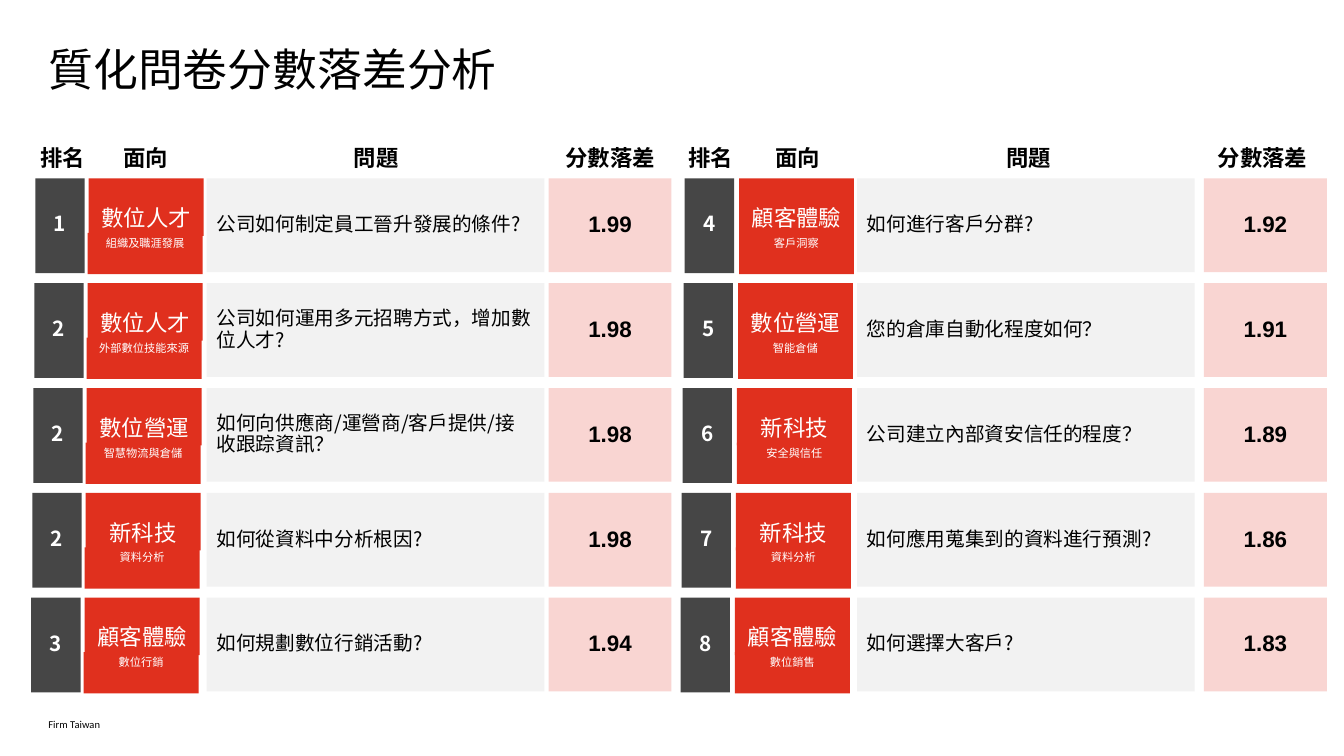
from dataclasses import dataclass

from pptx import Presentation
from pptx.dml.color import RGBColor
from pptx.enum.shapes import MSO_SHAPE
from pptx.enum.text import MSO_ANCHOR, MSO_AUTO_SIZE, PP_ALIGN
from pptx.oxml.ns import qn
from pptx.util import Inches, Pt

RECTANGLE = MSO_SHAPE.RECTANGLE
TOP, MIDDLE, BOTTOM = MSO_ANCHOR.TOP, MSO_ANCHOR.MIDDLE, MSO_ANCHOR.BOTTOM
LEFT, CENTER = PP_ALIGN.LEFT, PP_ALIGN.CENTER
NO_AUTOFIT = MSO_AUTO_SIZE.NONE
TITLE_ONLY = 5


@dataclass(frozen=True)
class Theme:
    black: str = "000000"
    white: str = "FFFFFF"
    rank_fill: str = "464646"
    facet_fill: str = "E0301E"
    question_fill: str = "F2F2F2"
    gap_fill: str = "F9D5D2"
    latin: str = "Arial"
    cjk: str = "Noto Sans CJK SC"
    footer_font: str = "Calibri"
    title_size: float = 32
    heading_size: float = 16
    rank_size: float = 14.8
    question_size: float = 14
    subtopic_size: float = 8
    footer_size: float = 7.5


THEME = Theme()


@dataclass(frozen=True)
class TextStyle:
    font: str
    size: float
    color: str = THEME.black
    bold: bool = False
    align: PP_ALIGN = LEFT
    anchor: MSO_ANCHOR = MIDDLE
    line_spacing: float = 0.9
    before: float = 10
    after: float = 0


@dataclass(frozen=True)
class Column:
    """One field of the ranking, with its left edge in each panel."""
    field: str
    lefts: tuple[float, float]
    width: float
    height: float
    fill: str
    style: TextStyle
    offset: float = 0
    drift: float = 0


@dataclass(frozen=True)
class Heading:
    text: str
    lefts: tuple[float, float]
    width: float


@dataclass(frozen=True)
class Entry:
    rank: str
    facet: str
    subtopic: str
    question: str
    gap: str


ROW_TOP, ROW_PITCH = 1.77, 1.04
HEADING_TOP, HEADING_HEIGHT = 1.43, 0.27
ROW_DRIFT = -0.01

TITLE_STYLE = TextStyle(THEME.latin, THEME.title_size, anchor=TOP, before=0)
FOOTER_STYLE = TextStyle(THEME.footer_font, THEME.footer_size, anchor=BOTTOM,
                         line_spacing=1.0, before=0)
HEADING_STYLE = TextStyle(THEME.cjk, THEME.heading_size, bold=True, anchor=TOP,
                          line_spacing=1.0, before=0, after=6)

HEADINGS = [
    Heading("排名", (0.4, 6.83), 0.45),
    Heading("面向", (1.22, 7.69), 0.45),
    Heading("問題", (3.51, 9.98), 0.45),
    Heading("分數落差", (5.61, 12.08), 0.9),
]

COLUMNS = [
    Column("rank", (0.35, 6.79), 0.49, 0.94, THEME.rank_fill,
           TextStyle(THEME.cjk, THEME.rank_size, THEME.white, True, CENTER,
                     line_spacing=0.8), drift=ROW_DRIFT),
    Column("facet", (0.88, 7.33), 1.14, 0.57, THEME.facet_fill,
           TextStyle(THEME.latin, THEME.heading_size, THEME.white, False,
                     CENTER, BOTTOM, 0.8), drift=ROW_DRIFT),
    Column("question", (2.05, 8.5), 3.35, 0.93, THEME.question_fill,
           TextStyle(THEME.cjk, THEME.question_size)),
    Column("gap", (5.44, 11.94), 1.22, 0.93, THEME.gap_fill,
           TextStyle(THEME.latin, THEME.heading_size, bold=True, align=CENTER)),
    Column("subtopic", (0.87, 7.33), 1.14, 0.41, THEME.facet_fill,
           TextStyle(THEME.latin, THEME.subtopic_size, THEME.white,
                     align=CENTER, anchor=TOP), offset=0.54, drift=ROW_DRIFT),
]

PANELS = [
    [
        Entry("1", "數位人才", "組織及職涯發展", "公司如何制定員工晉升發展的條件?", "1.99"),
        Entry("2", "數位人才", "外部數位技能來源",
              "公司如何運用多元招聘方式，增加數位人才?", "1.98"),
        Entry("2", "數位營運", "智慧物流與倉儲",
              "如何向供應商/運營商/客戶提供/接收跟踪資訊？", "1.98"),
        Entry("2", "新科技", "資料分析", "如何從資料中分析根因?", "1.98"),
        Entry("3", "顧客體驗", "數位行銷", "如何規劃數位行銷活動?", "1.94"),
    ],
    [
        Entry("4", "顧客體驗", "客戶洞察", "如何進行客戶分群?", "1.92"),
        Entry("5", "數位營運", "智能倉儲", "您的倉庫自動化程度如何？", "1.91"),
        Entry("6", "新科技", "安全與信任", "公司建立內部資安信任的程度？", "1.89"),
        Entry("7", "新科技", "資料分析", "如何應用蒐集到的資料進行預測?", "1.86"),
        Entry("8", "顧客體驗", "數位銷售", "如何選擇大客戶?", "1.83"),
    ],
]


def write(shape, text: str, style: TextStyle, wrap: bool = True,
          inset: bool = True) -> None:
    frame = shape.text_frame
    frame_format = {"word_wrap": wrap, "auto_size": NO_AUTOFIT,
                    "vertical_anchor": style.anchor}
    if not inset:
        frame_format |= {f"margin_{side}": 0
                         for side in ("left", "top", "right", "bottom")}
    paragraph = frame.paragraphs[0]
    run = paragraph.add_run()
    run.text = text
    formats = [
        (frame, frame_format),
        (paragraph, {"alignment": style.align,
                     "line_spacing": style.line_spacing,
                     "space_before": Pt(style.before),
                     "space_after": Pt(style.after)}),
        (run.font, {"name": style.font, "size": Pt(style.size),
                    "bold": style.bold}),
    ]
    for target, values in formats:
        for attribute, value in values.items():
            setattr(target, attribute, value)
    run.font.color.rgb = RGBColor.from_string(style.color)
    east_asian = run.font._element.makeelement(qn("a:ea"),
                                               {"typeface": style.font})
    run.font._element.find(qn("a:latin")).addnext(east_asian)


def add_label(slide, text: str, box: tuple[float, float, float, float],
              style: TextStyle, wrap: bool = False) -> None:
    label = slide.shapes.add_textbox(*map(Inches, box))
    write(label, text, style, wrap, inset=False)


def add_cell(slide, column: Column, entry: Entry, panel: int, row: int) -> None:
    left = column.lefts[panel] + column.drift * row
    top = ROW_TOP + ROW_PITCH * row + column.offset
    cell = slide.shapes.add_shape(
        RECTANGLE, *map(Inches, (left, top, column.width, column.height)))
    cell.shadow.inherit = False
    cell.fill.solid()
    cell.fill.fore_color.rgb = RGBColor.from_string(column.fill)
    cell.line.fill.background()
    write(cell, getattr(entry, column.field), column.style)


def main() -> None:
    deck = Presentation()
    deck.slide_width, deck.slide_height = Inches(13.33), Inches(7.5)
    slide = deck.slides.add_slide(deck.slide_layouts[TITLE_ONLY])

    title = slide.shapes.title
    title.left, title.top, title.width, title.height = map(
        Inches, (0.48, 0.47, 12.36, 1.52))
    write(title, "質化問卷分數落差分析", TITLE_STYLE, inset=False)
    add_label(slide, "Firm Taiwan", (0.48, 7.1, 5.99, 0.15), FOOTER_STYLE, wrap=True)

    for panel, entries in enumerate(PANELS):
        for heading in HEADINGS:
            add_label(slide, heading.text,
                      (heading.lefts[panel], HEADING_TOP, heading.width,
                       HEADING_HEIGHT), HEADING_STYLE)
        for column in COLUMNS:
            for row, entry in enumerate(entries):
                add_cell(slide, column, entry, panel, row)

    deck.save("out.pptx")


if __name__ == "__main__":
    main()
